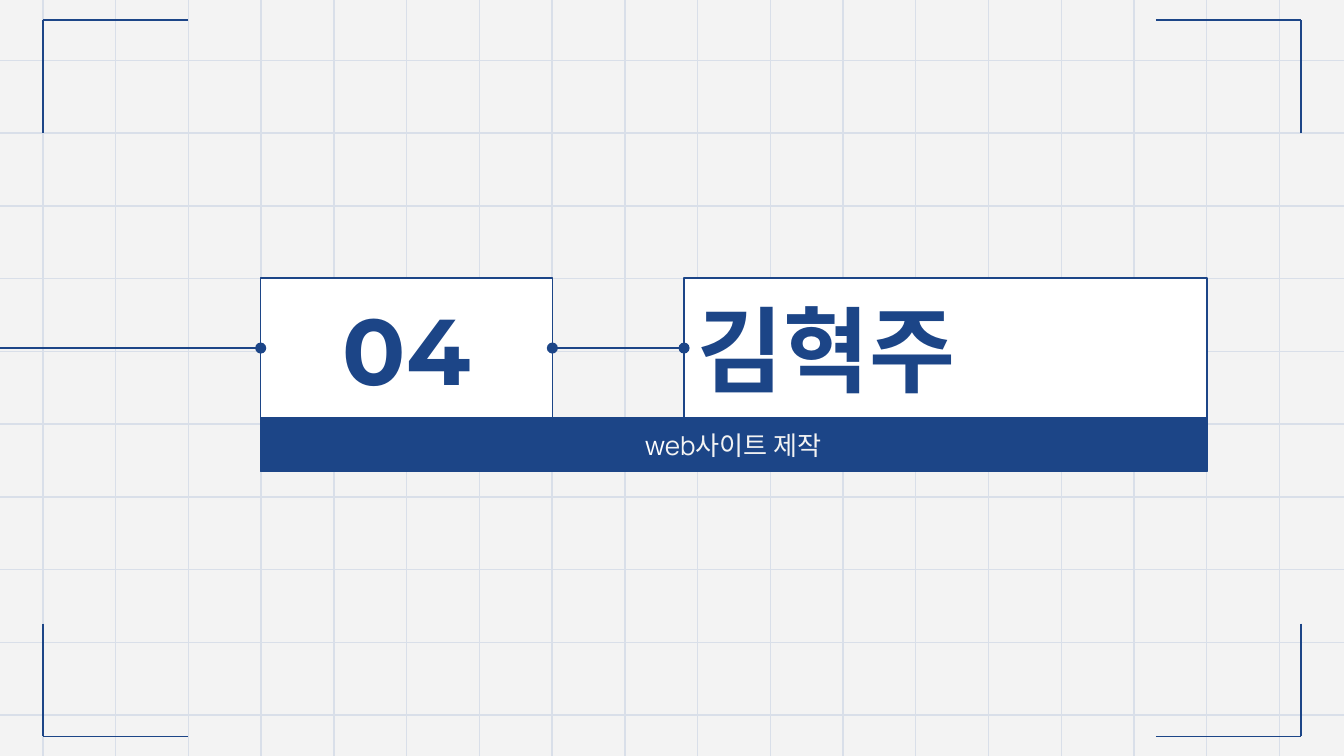
from lxml import etree
from pptx import Presentation
from pptx.dml.color import RGBColor
from pptx.enum.shapes import MSO_CONNECTOR, MSO_SHAPE
from pptx.enum.text import MSO_ANCHOR, PP_ALIGN
from pptx.oxml.ns import qn
from pptx.util import Inches, Pt

STRAIGHT, RECT = MSO_CONNECTOR.STRAIGHT, MSO_SHAPE.RECTANGLE
LEFT, CENTER, MIDDLE = PP_ALIGN.LEFT, PP_ALIGN.CENTER, MSO_ANCHOR.MIDDLE
LEFT_SIDE, RIGHT_SIDE = 1, 3

WIDTH = 10
HEIGHT = WIDTH * 9 / 16
PAPER, GRID, NAVY, WHITE = "F3F3F3", "D9DFE9", "1C4587", "FFFFFF"

GRID_LEFT, GRID_RIGHT, GRID_TOP = 0.32, 9.52, 0.45
COLUMNS, ROWS = 18, 10

CORNERS = [
    (0.32, 0.15, 1, 1),
    (9.68, 0.15, -1, 1),
    (0.32, 5.48, 1, -1),
    (9.68, 5.48, -1, -1),
]
CORNER_W, CORNER_H = 1.08, 0.84

BOXES = {
    "name": ((5.09, 2.07, 3.89, 1.04), WHITE, LEFT,
             [("김혁주", "Montserrat", 50, True, NAVY)]),
    "number": ((1.94, 2.07, 2.17, 1.04), WHITE, CENTER,
               [("04", "Montserrat", 50, True, NAVY)]),
    "topic": ((1.94, 3.11, 7.04, 0.4), NAVY, CENTER,
              [("W", "Arial", 11, False, WHITE),
               ("eb사이트 제작", "Manrope", 14, False, PAPER)]),
}
LINK_START, LINK_Y = -0.45, 2.59


def rgb(color):
    return RGBColor.from_string(color)


def add_line(x1, y1, x2, y2, color, dots=False):
    line = s.shapes.add_connector(STRAIGHT, Inches(x1), Inches(y1), Inches(x2), Inches(y2))
    line.line.color.rgb = rgb(color)
    line.line.width = Pt(0.75)
    if dots:
        ln = line.line._get_or_add_ln()
        for end in ("a:headEnd", "a:tailEnd"):
            etree.SubElement(ln, qn(end), type="oval")
    etree.SubElement(line._element.spPr, qn("a:effectLst"))
    return line


def add_box(place, fill, align, runs):
    sp = s.shapes.add_shape(RECT, *map(Inches, place))
    sp.shadow.inherit = False
    sp.fill.solid()
    sp.fill.fore_color.rgb = rgb(fill)
    sp.line.color.rgb = rgb(NAVY)
    sp.line.width = Pt(0.75)
    tf = sp.text_frame
    tf.word_wrap = True
    tf.vertical_anchor = MIDDLE
    tf.margin_left = tf.margin_right = tf.margin_top = tf.margin_bottom = Inches(0.1)
    p = tf.paragraphs[0]
    p.alignment = align
    for text, font, size, bold, color in runs:
        r = p.add_run()
        r.text = text
        r.font.name = font
        r.font.size = Pt(size)
        r.font.bold = bold
        r.font.color.rgb = rgb(color)
    return sp


prs = Presentation()
prs.slide_width, prs.slide_height = Inches(WIDTH), Inches(HEIGHT)
s = prs.slides.add_slide(prs.slide_layouts[6])
s.background.fill.solid()
s.background.fill.fore_color.rgb = rgb(PAPER)

step = (GRID_RIGHT - GRID_LEFT) / (COLUMNS - 1)
for row in range(ROWS):
    y = GRID_TOP + row * step
    add_line(0, y, WIDTH, y, GRID)
for column in range(COLUMNS):
    x = GRID_LEFT + column * step
    add_line(x, HEIGHT, x, 0, GRID)

for x, y, dx, dy in CORNERS:
    add_line(x, y + dy * CORNER_H, x, y, NAVY)
    add_line(x + dx * CORNER_W, y, x, y, NAVY)

boxes = {key: add_box(*box) for key, box in BOXES.items()}

link = add_line(4.11, LINK_Y, 5.09, LINK_Y, NAVY, dots=True)
link.begin_connect(boxes["number"], RIGHT_SIDE)
link.end_connect(boxes["name"], LEFT_SIDE)
lead = add_line(LINK_START, LINK_Y, 1.94, LINK_Y, NAVY, dots=True)
lead.end_connect(boxes["number"], LEFT_SIDE)

prs.save("out.pptx")
